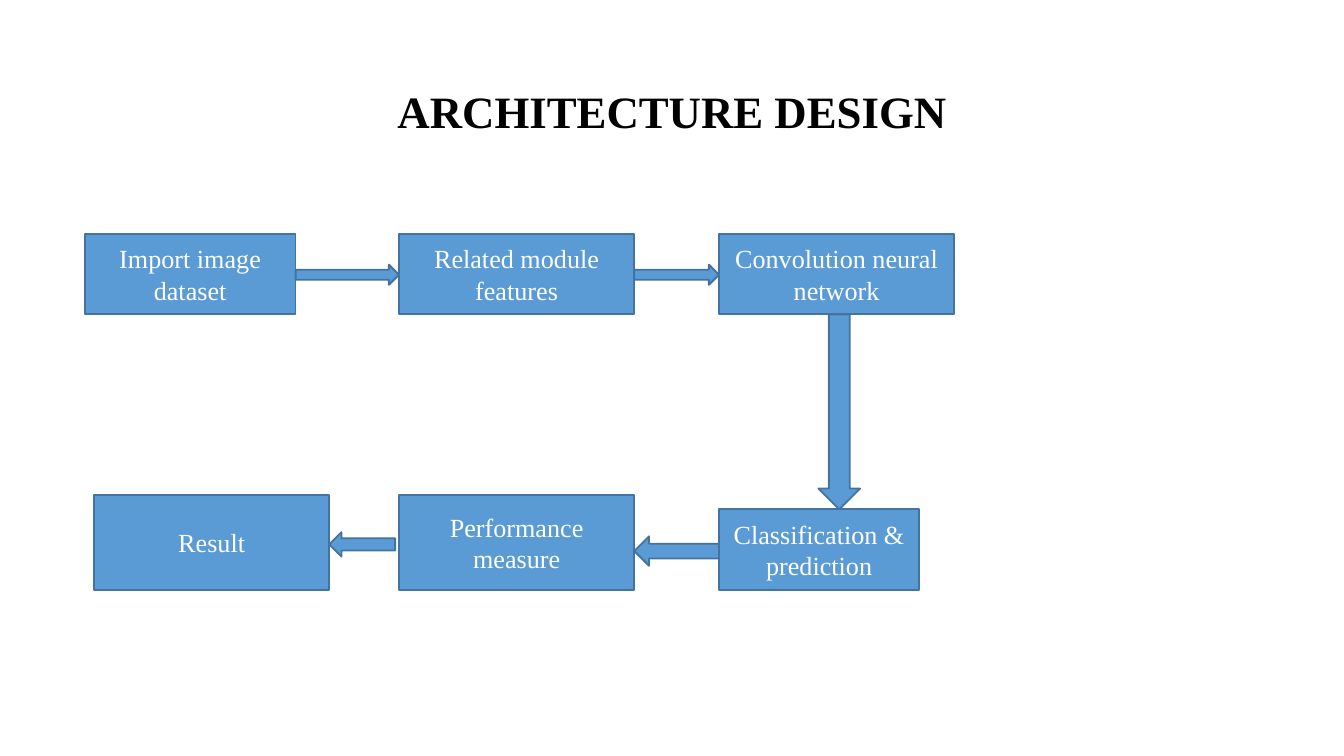
from pptx import Presentation
from pptx.dml.color import RGBColor
from pptx.enum.shapes import MSO_SHAPE
from pptx.enum.text import MSO_ANCHOR, PP_ALIGN
from pptx.util import Pt

RECTANGLE = MSO_SHAPE.RECTANGLE
RIGHT_ARROW = MSO_SHAPE.RIGHT_ARROW
DOWN_ARROW = MSO_SHAPE.DOWN_ARROW
MIDDLE = MSO_ANCHOR.MIDDLE
CENTER = PP_ALIGN.CENTER

FONT = "Times New Roman"
TITLE_BOX = (49.7, 21.6, 620.6, 78.5)
FLOW_BOX = (45.4, 125.3, 465.8, 190.8)
TITLE_ONLY = 5

STEPS = {
    "import": ("Import image dataset", 0, 0, 113, 43.2),
    "features": ("Related module features", 168.4, 0, 126, 43.2),
    "network": ("Convolution neural network", 339.8, 0, 126, 43.2),
    "prediction": ("Classification & prediction", 339.8, 147.6, 107.3, 43.2),
    "measure": ("Performance measure", 168.4, 139.7, 126, 51.1),
    "result": ("Result", 5, 139.7, 126, 51.1),
}
ARROWS = [
    ("import", "features", 10.8, 0.3, 0),
    ("features", "network", 10.8, 0.3, 0),
    ("network", "prediction", 22.3, 1.4, 0),
    ("prediction", "measure", 15.8, 0.7, 0),
    ("measure", "result", 13, 1.1, 2.1),
]


def color(value):
    """Return the colour for a hex string."""
    return RGBColor.from_string(value)


def write_text(frame, text, size, ink, bold=False):
    """Write one centred run into a text frame."""
    frame.word_wrap = True
    frame.vertical_anchor = MIDDLE
    paragraph = frame.paragraphs[0]
    paragraph.alignment = CENTER
    run = paragraph.add_run()
    run.text = text
    run.font.name = FONT
    run.font.size = Pt(size)
    run.font.bold = bold
    run.font.color.rgb = color(ink)
    return paragraph


def add_blue_shape(slide, kind, left, top, width, height):
    """Add a blue outlined shape without a shadow."""
    shape = slide.shapes.add_shape(kind, Pt(left), Pt(top), Pt(width), Pt(height))
    shape.shadow.inherit = False
    shape.fill.solid()
    shape.fill.fore_color.rgb = color("5B9BD5")
    shape.line.color.rgb = color("43739E")
    shape.line.width = Pt(1)
    return shape


def add_title(slide, box, text):
    """Place and format the title inside its box."""
    title = slide.shapes.title
    title.left, title.top, title.width, title.height = map(Pt, box)
    paragraph = write_text(title.text_frame, text, 24, "000000", True)
    paragraph.line_spacing = 0.9


def add_arrow(slide, start, end, thickness, shift, tail_gap):
    """Add a block arrow filling the gap between two boxes."""
    left, top, width, height = start
    end_left, end_top, end_width, _ = end
    if end_top > top + height:
        center = left + width / 2 + shift
        bottom = top + height
        add_blue_shape(slide, DOWN_ARROW, center - thickness / 2, bottom,
                       thickness, end_top - bottom)
        return
    arrow_top = top + height / 2 + shift - thickness / 2
    if end_left > left:
        tail = left + width + tail_gap
        add_blue_shape(slide, RIGHT_ARROW, tail, arrow_top, end_left - tail, thickness)
    else:
        tip = end_left + end_width
        arrow = add_blue_shape(slide, RIGHT_ARROW, tip, arrow_top,
                               left - tail_gap - tip, thickness)
        arrow.rotation = 180


def add_flow(slide, box):
    """Draw the process steps and their arrows relative to the box."""
    places = {}
    for name, (text, left, top, width, height) in STEPS.items():
        places[name] = (box[0] + left, box[1] + top, width, height)
        step = add_blue_shape(slide, RECTANGLE, *places[name])
        write_text(step.text_frame, text, 14, "FFFFFF")
    for start, end, thickness, shift, tail_gap in ARROWS:
        add_arrow(slide, places[start], places[end], thickness, shift, tail_gap)


def main():
    """Build and save the presentation."""
    presentation = Presentation()
    presentation.slide_width = Pt(720)
    presentation.slide_height = Pt(405)
    slide = presentation.slides.add_slide(presentation.slide_layouts[TITLE_ONLY])
    add_title(slide, TITLE_BOX, "ARCHITECTURE DESIGN")
    add_flow(slide, FLOW_BOX)
    presentation.save("out.pptx")


main()
